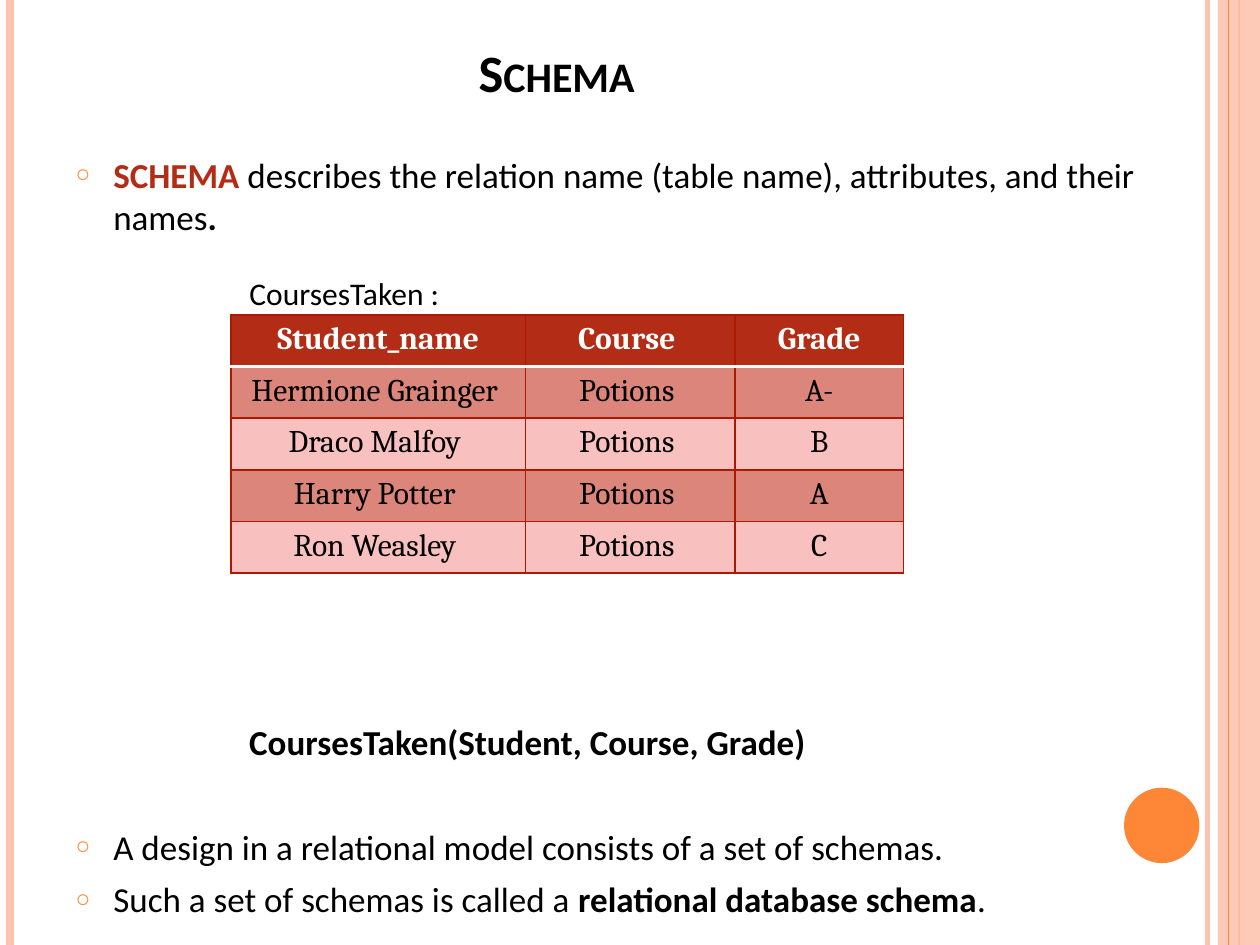
"""Builds a slide that explains a relational schema with a sample table."""
from lxml.etree import SubElement
from pptx import Presentation
from pptx.dml.color import RGBColor
from pptx.enum.shapes import MSO_CONNECTOR, MSO_SHAPE
from pptx.enum.text import MSO_ANCHOR, MSO_AUTO_SIZE, PP_ALIGN
from pptx.oxml.ns import qn
from pptx.util import Cm, Pt

BLACK = RGBColor(0x00, 0x00, 0x00)
WHITE = RGBColor(0xFF, 0xFF, 0xFF)
RED = RGBColor(0xB3, 0x2C, 0x16)
BORDER_RED = RGBColor(0xAC, 0x18, 0x00)
DARK_BAND = RGBColor(0xDC, 0x85, 0x7B)
LIGHT_BAND = RGBColor(0xF8, 0xC0, 0xBE)
ORANGE = RGBColor(0xFE, 0x86, 0x37)
PEACH = RGBColor(0xFE, 0xC3, 0xAE)

COURSES = [
    ["Student_name", "Course ", "Grade"],
    ["Hermione Grainger ", "Potions ", "A-"],
    ["Draco Malfoy ", "Potions ", "B"],
    ["Harry Potter ", "Potions ", "A"],
    ["Ron Weasley ", "Potions ", "C"],
]


def add_run(paragraph, text, font="Calibri", size=20, color=BLACK, bold=False, small_caps=False):
    run = paragraph.add_run()
    run.text = text
    run.font.name = font
    run.font.size = Pt(size)
    run.font.bold = bold
    run.font.color.rgb = color
    if small_caps:
        run.font._element.set("cap", "small")


def add_color(parent, color, opacity=None):
    fill = SubElement(parent, qn("a:solidFill"))
    SubElement(fill, qn("a:srgbClr"), val=str(color))


class SlideBuilder:
    def __init__(self, presentation):
        self.slide = presentation.slides.add_slide(presentation.slide_layouts[1])
        self.height = presentation.slide_height

    def place(self, shape, left, top, width, height):
        shape.left, shape.top = Cm(left), Cm(top)
        shape.width, shape.height = Cm(width), Cm(height)
        frame = shape.text_frame
        frame.word_wrap = True
        frame.auto_size = MSO_AUTO_SIZE.NONE
        return frame

    def rule(self, left, color, width):
        line = self.slide.shapes.add_connector(
            MSO_CONNECTOR.STRAIGHT, Cm(left), 0, Cm(left), self.height)
        line.line.color.rgb = color
        line.line.width = Pt(width)
        SubElement(line._element.spPr, qn("a:effectLst"))

    def shape(self, kind, left, top, width, height, color, opacity=100):
        shape = self.slide.shapes.add_shape(kind, Cm(left), Cm(top), Cm(width), Cm(height))
        shape.shadow.inherit = False
        shape.fill.solid()
        shape.fill.fore_color.rgb = color
        shape.line.fill.background()
        if opacity < 100:
            color_element = shape._element.spPr.find(".//" + qn("a:srgbClr"))
            SubElement(color_element, qn("a:alpha"), val=str(opacity * 1000))

    def title(self, text, *box):
        frame = self.place(self.slide.shapes.title, *box)
        frame.vertical_anchor = MSO_ANCHOR.BOTTOM
        paragraph = frame.paragraphs[0]
        paragraph.alignment = PP_ALIGN.CENTER
        add_run(paragraph, text, size=30, bold=True, small_caps=True)

    def body(self, items, *box):
        frame = self.place(self.slide.placeholders[1], *box)
        for index, (space, bullet, runs) in enumerate(items):
            paragraph = frame.add_paragraph() if index else frame.paragraphs[0]
            paragraph.space_before = Pt(space)
            properties = paragraph._element.get_or_add_pPr()
            properties.set("marL", str(Cm(0.76 if bullet else 3.5)))
            properties.set("indent", str(Cm(-0.76 if bullet else 0)))
            if bullet:
                bullet_color = SubElement(properties, qn("a:buClr"))
                SubElement(bullet_color, qn("a:srgbClr"), val=str(ORANGE))
                SubElement(properties, qn("a:buSzPct"), val="70000")
                SubElement(properties, qn("a:buChar"), char="○")
            else:
                SubElement(properties, qn("a:buNone"))
            for text, style in runs:
                add_run(paragraph, text, **style)

    def label(self, text, *box):
        shape = self.slide.shapes.add_textbox(0, 0, 0, 0)
        add_run(self.place(shape, *box).paragraphs[0], text, size=18)

    def border(self, cell, side, color, width):
        line = SubElement(cell._tc.get_or_add_tcPr(), qn(f"a:ln{side}"), w=str(Pt(width)))
        add_color(line, color)

    def table(self, rows, left, top, widths, row_height):
        frame = self.slide.shapes.add_table(
            len(rows), len(widths), Cm(left), Cm(top),
            Cm(sum(widths)), Cm(row_height * len(rows)))
        table = frame.table
        for column, width in zip(table.columns, widths):
            column.width = Cm(width)
        for row_index, row in enumerate(rows):
            header = row_index == 0
            band = RED if header else DARK_BAND if row_index % 2 else LIGHT_BAND
            for column_index, text in enumerate(row):
                cell = table.cell(row_index, column_index)
                for side in "LRTB":
                    divider = (side, row_index) in (("B", 0), ("T", 1))
                    self.border(cell, side, WHITE if divider else BORDER_RED, 2 if divider else 1)
                cell.fill.solid()
                cell.fill.fore_color.rgb = band
                paragraph = cell.text_frame.paragraphs[0]
                paragraph.alignment = PP_ALIGN.CENTER
                add_run(paragraph, text, font="Cambria", size=18,
                        color=WHITE if header else BLACK, bold=header)


def main():
    presentation = Presentation()
    presentation.slide_width, presentation.slide_height = Cm(25.4), Cm(19.05)
    builder = SlideBuilder(presentation)
    builder.rule(24.34, PEACH, 3)
    builder.rule(0.21, PEACH, 4.5)
    builder.rule(24.98, ORANGE, 1.5)
    builder.shape(MSO_SHAPE.RECTANGLE, 24.55, 0, 0.85, 19.05, PEACH, opacity=87)
    builder.rule(24.77, ORANGE, 0.75)
    builder.shape(MSO_SHAPE.OVAL, 22.66, 15.88, 1.52, 1.52, ORANGE)
    builder.title("Schema", 0.85, 0.42, 20.74, 1.78)
    bold = {"bold": True}
    builder.body([
        (0, True, [
            ("SCHEMA ", {"bold": True, "color": RED}),
            ("describes the relation name (table name), attributes, and their names", {}),
            (".", bold)]),
        (276, False, [("CoursesTaken(Student, Course, Grade)", bold)]),
        (36, True, [("A design in a relational model consists of a set of schemas.", {})]),
        (6, True, [
            ("Such a set of schemas is called a ", {}),
            ("relational database schema", bold),
            (".", {})]),
    ], 1.27, 2.96, 22.86, 14.6)
    builder.table(COURSES, 4.66, 6.35, [5.93, 4.23, 3.39], 1.04)
    builder.label("CoursesTaken :", 4.78, 5.4, 5.29, 1.02)
    presentation.save("out.pptx")


if __name__ == "__main__":
    main()
